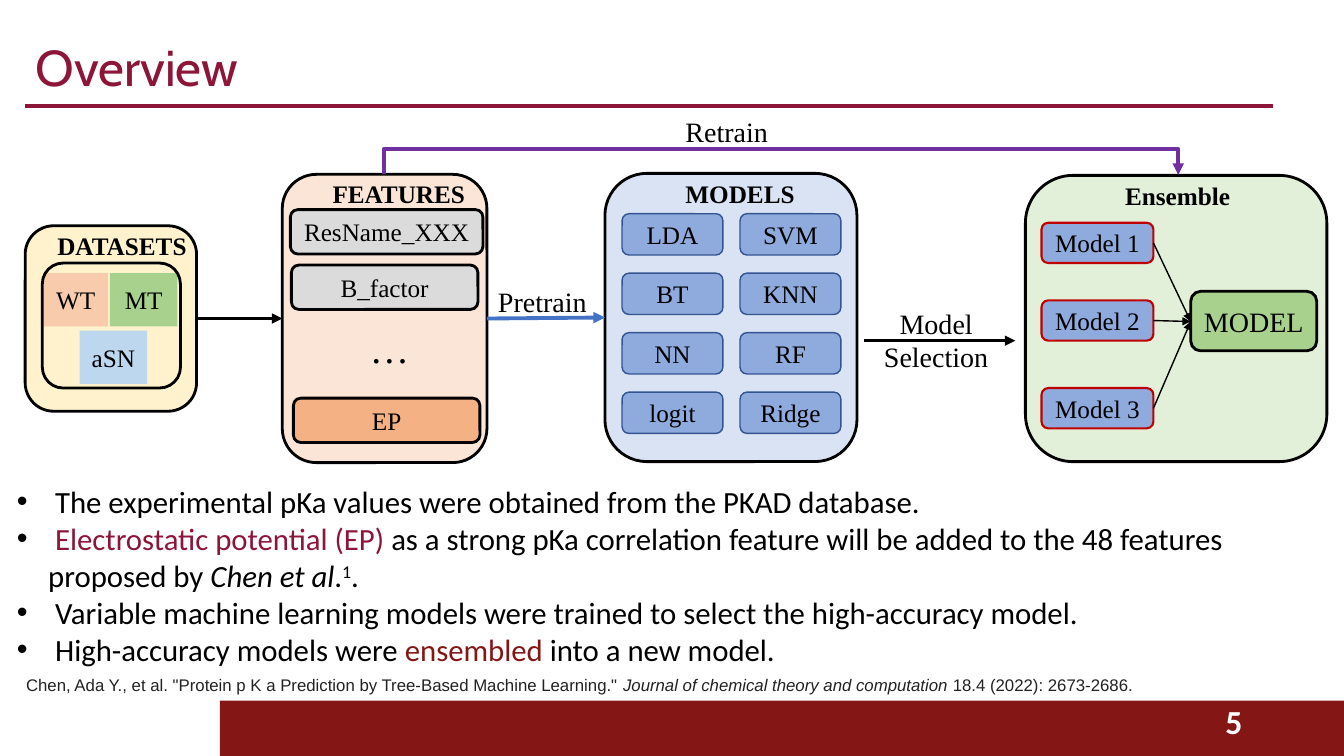
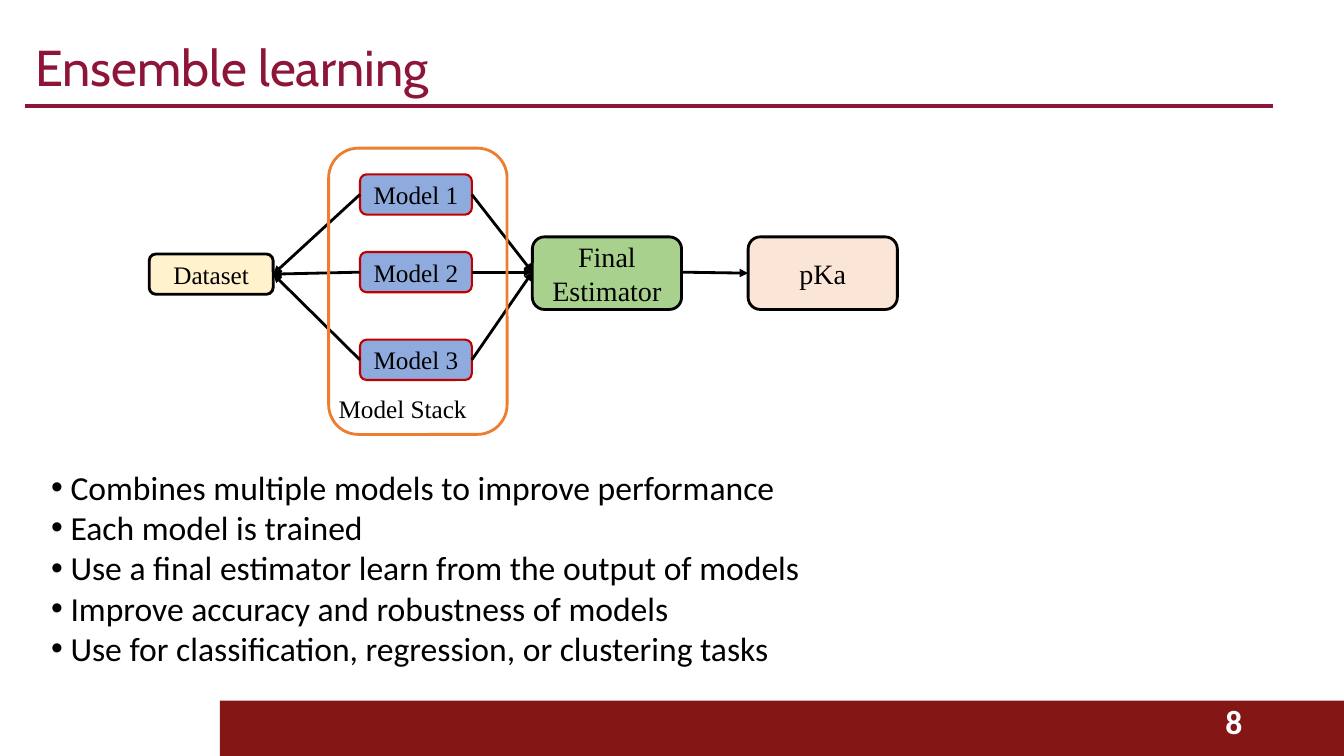
from pptx import Presentation, util as u
from pptx.dml.color import RGBColor
from pptx.enum import shapes, text
from pptx.oxml.ns import qn
from lxml import etree

BLACK, WINE, RED, WHITE = "000000", "8D1638", "841616", "FFFFFF"
BLUE, GREEN, CREAM, PEACH = "8FAADC", "A9D18E", "FFF2CC", "FBE5D6"
GRAY = "DBDBDB"
SERIF, SANS = "Times New Roman", "Calibri"
LEFT, MID, RIGHT = text.PP_ALIGN.LEFT, text.PP_ALIGN.CENTER, text.PP_ALIGN.RIGHT
RECT, ROUND = shapes.MSO_SHAPE.RECTANGLE, shapes.MSO_SHAPE.ROUNDED_RECTANGLE
TOP, MIDDLE = text.MSO_ANCHOR.TOP, text.MSO_ANCHOR.MIDDLE

PANELS = [
    ((0.25, 2.24, 1.7, 1.84), CREAM, "DATASETS", (0.47, 2.24, 1.5, 0.4)),
    ((2.8, 1.73, 2.03, 2.86), PEACH, "FEATURES", (3.2, 1.72, 1.53, 0.4)),
    ((6, 1.72, 2.5, 2.86), "DAE3F3", "MODELS", (6.7, 1.72, 1.3, 0.4)),
    ((10.17, 1.74, 2.99, 2.84), "E2F0D9", "Ensemble", (11.06, 1.74, 1.25, 0.4)),
]
SETS = [
    ("WT", (0.43, 2.71, 0.64, 0.53), "F8CBAD"),
    ("MT", (1.09, 2.71, 0.67, 0.53), GREEN),
    ("aSN", (0.79, 3.28, 0.67, 0.53), "BDD7EE"),
]
FEATURES = [
    ("ResName_XXX", (2.88, 2.08, 1.91, 0.44), GRAY),
    ("B_factor", (2.89, 2.63, 1.85, 0.44), GRAY),
    ("EP", (2.91, 3.95, 1.85, 0.44), "F4B183"),
]
MODELS = ["LDA", "SVM", "BT", "KNN", "NN", "RF", "logit", "Ridge"]
LABELS = [
    (["Model", "Selection"], (8.66, 2.99, 1.25, 0.77), 20, MID),
    (["Pretrain"], (4.84, 2.77, 1.11, 0.44), 20, LEFT),
    (["Retrain"], (6.7, 1.09, 1.02, 0.44), 20, LEFT),
    (["…"], (3.57, 3.17, 0.59, 0.57), 28, LEFT),
]
FLOWS = [
    ((8.57, 3.38), (10.07, 3.38), BLACK, 2.5),
    ((1.95, 3.16), (2.8, 3.16), BLACK, 2.5),
    ((4.83, 3.16), (6, 3.15), "4472C4", 2.75),
]
POINTS = [
    [" The experimental pKa values were obtained from the PKAD database."],
    [" ", ("Electrostatic potential (EP) ", {"color": WINE}),
     "as a strong pKa correlation feature will be added to the 48 features proposed by ",
     ("Chen et al", {"slant": True}), ".", ("1", {"base": 30}), "."],
    [" Variable machine learning models were trained to select the high-accuracy model."],
    [" High-accuracy models were ", ("ensembled", {"color": RED}), " into a new model."],
]
CITE = [[
    'Chen, Ada Y., et al. "Protein p K a Prediction by Tree-Based Machine Learning." ',
    ("Journal of chemical theory and computation", {"slant": True}),
    " 18.4 (2022): 2673-2686.",
]]
NOTES = [
    [" Combines multiple models to improve performance"],
    [" Each model is trained"],
    [" Use a final estimator learn from the output of models"],
    [" Improve accuracy and robustness of models"],
    [" Use for classification, regression, or clustering tasks"],
]


def rgb(code):
    return RGBColor.from_string(code)


def inches(box):
    return [u.Inches(n) for n in box]


def add_run(para, words, size, font, color=BLACK, bold=False, slant=False, base=0):
    run = para.add_run()
    run.text = words
    face = run.font
    face.size, face.name, face.bold, face.italic = u.Pt(size), font, bold, slant
    face.color.rgb = rgb(color)
    if base:
        run._r.get_or_add_rPr().set("baseline", str(base * 1000))


def write(frame, paras, size, font=SERIF, align=LEFT, bullet=None, **style):
    for i, parts in enumerate(paras):
        para = frame.paragraphs[0] if i == 0 else frame.add_paragraph()
        para.alignment = align
        if bullet is not None:
            props = para._p.get_or_add_pPr()
            indent = u.Inches(bullet)
            props.set("marL", str(indent))
            props.set("indent", str(-indent))
            etree.SubElement(props, qn("a:buFont"), typeface="Arial")
            etree.SubElement(props, qn("a:buChar"), char="•")
        for part in parts:
            words, extra = (part, {}) if isinstance(part, str) else part
            add_run(para, words, size, font, **{**style, **extra})


def label(slide, box, paras, size, wrap=False, anchor=TOP, **style):
    frame = slide.shapes.add_textbox(*inches(box)).text_frame
    frame.word_wrap = wrap
    frame.vertical_anchor = anchor
    write(frame, paras, size, **style)


def block(slide, box, fill=None, line=None, width=2, words=None, size=18, kind=ROUND):
    shape = slide.shapes.add_shape(kind, *inches(box))
    shape.shadow.inherit = False
    if fill:
        shape.fill.solid()
        shape.fill.fore_color.rgb = rgb(fill)
    else:
        shape.fill.background()
    if line:
        shape.line.color.rgb = rgb(line)
        shape.line.width = u.Pt(width)
    else:
        shape.line.fill.background()
    if words:
        frame = shape.text_frame
        frame.word_wrap = True
        frame.vertical_anchor = MIDDLE
        frame.margin_left = frame.margin_right = u.Inches(0.05)
        write(frame, [[words]], size, align=MID)


def link(slide, start, end, color=BLACK, width=2, head=True, kind=shapes.MSO_CONNECTOR.STRAIGHT):
    line = slide.shapes.add_connector(kind, *inches(start + end))
    line.line.color.rgb = rgb(color)
    line.line.width = u.Pt(width)
    if head:
        etree.SubElement(line.line._get_or_add_ln(), qn("a:tailEnd"), type="triangle")
    etree.SubElement(line._element.spPr, qn("a:effectLst"))
    return line


def elbow(slide):
    line = link(slide, (7.75, -2.21), (7.74, 5.67), "7030A0", 2.75,
                kind=shapes.MSO_CONNECTOR.ELBOW)
    props = line._element.spPr
    props.find(qn("a:xfrm")).set("rot", str(270 * 60000))
    geom = props.find(qn("a:prstGeom"))
    guides = geom.find(qn("a:avLst"))
    if guides is None:
        guides = etree.SubElement(geom, qn("a:avLst"))
    etree.SubElement(guides, qn("a:gd"), name="adj1", fmla="val -2500000")


def trio(slide, left, top, goal, width, source=None):
    for i, drop in enumerate((0, 0.77, 1.64)):
        y = top + drop
        block(slide, (left, y, 1.11, 0.4), BLUE, "C00000", 1.5, f"Model {i + 1}")
        link(slide, (left + 1.11, y + 0.2), goal, width=width)
        if source:
            link(slide, (left, y + 0.2), source, width=width)


def start(deck, title, number):
    slide = deck.slides.add_slide(deck.slide_layouts[5])
    block(slide, (2.18, 6.95, 11.15, 0.55), RED, kind=RECT)
    link(slide, (0.25, 1.05), (12.63, 1.05), WINE, 2.5, head=False)
    head = slide.shapes.title
    head.left, head.top, head.width, head.height = inches((0.25, 0.18, 11.5, 1.03))
    frame = head.text_frame
    frame.auto_size = text.MSO_AUTO_SIZE.NONE
    frame.vertical_anchor = MIDDLE
    write(frame, [[title]], 36, font="Cabin", color=WINE)
    frame.paragraphs[0].line_spacing = 0.9
    label(slide, (9.42, 6.95, 3, 0.4), [[number]], 24, wrap=True, anchor=MIDDLE,
          font=SANS, align=RIGHT, color=WHITE, bold=True)
    return slide


def overview(deck):
    slide = start(deck, "Overview", "5")
    for box, fill, name, spot in PANELS:
        block(slide, box, fill, BLACK)
        label(slide, spot, [[name]], 18, bold=True)
    for name, box, fill in SETS:
        block(slide, box, fill, words=name, kind=RECT)
    block(slide, (0.42, 2.61, 1.37, 1.24), line=BLACK)
    for name, box, fill in FEATURES:
        block(slide, box, fill, BLACK, words=name)
    for i, name in enumerate(MODELS):
        row, col = divmod(i, 2)
        block(slide, (6.17 + col * 1.17, 2.12 + row * 0.59, 1, 0.41), BLUE, "325491", 1, name)
    trio(slide, 10.33, 2.21, (11.81, 3.19), 1)
    block(slide, (11.81, 2.89, 1.25, 0.59), GREEN, BLACK, words="MODEL", size=20)
    for flow in FLOWS:
        link(slide, *flow)
    elbow(slide)
    for lines, box, size, align in LABELS:
        label(slide, box, [[line] for line in lines], size, align=align)
    label(slide, (0.07, 4.74, 13.1, 1.95), POINTS, 22, wrap=True, font=SANS, bullet=0.31)
    label(slide, (0.16, 6.64, 12.11, 0.3), CITE, 12, wrap=True, font="Arial", color="222222")


def ensemble(deck):
    slide = start(deck, "Ensemble learning", "8")
    label(slide, (0.41, 4.58, 11.63, 2.12), NOTES, 24, wrap=True, font=SANS, bullet=0)
    trio(slide, 3.57, 1.73, (5.28, 2.7), 2, (2.71, 2.72))
    block(slide, (1.48, 2.52, 1.23, 0.4), CREAM, BLACK, words="Dataset")
    for x, fill, name in ((5.28, GREEN, "Final Estimator"), (7.42, PEACH, "pKa")):
        block(slide, (x, 2.35, 1.48, 0.72), fill, BLACK, words=name, size=20)
    link(slide, (6.76, 2.7), (7.42, 2.71))
    block(slide, (3.26, 1.47, 1.77, 2.84), line="ED7D31")
    label(slide, (3.26, 3.85, 1.49, 0.4), [["Model Stack"]], 18)


def main():
    deck = Presentation()
    deck.slide_width, deck.slide_height = inches((13.33, 7.5))
    overview(deck)
    ensemble(deck)
    deck.save("out.pptx")


if __name__ == "__main__":
    main()
